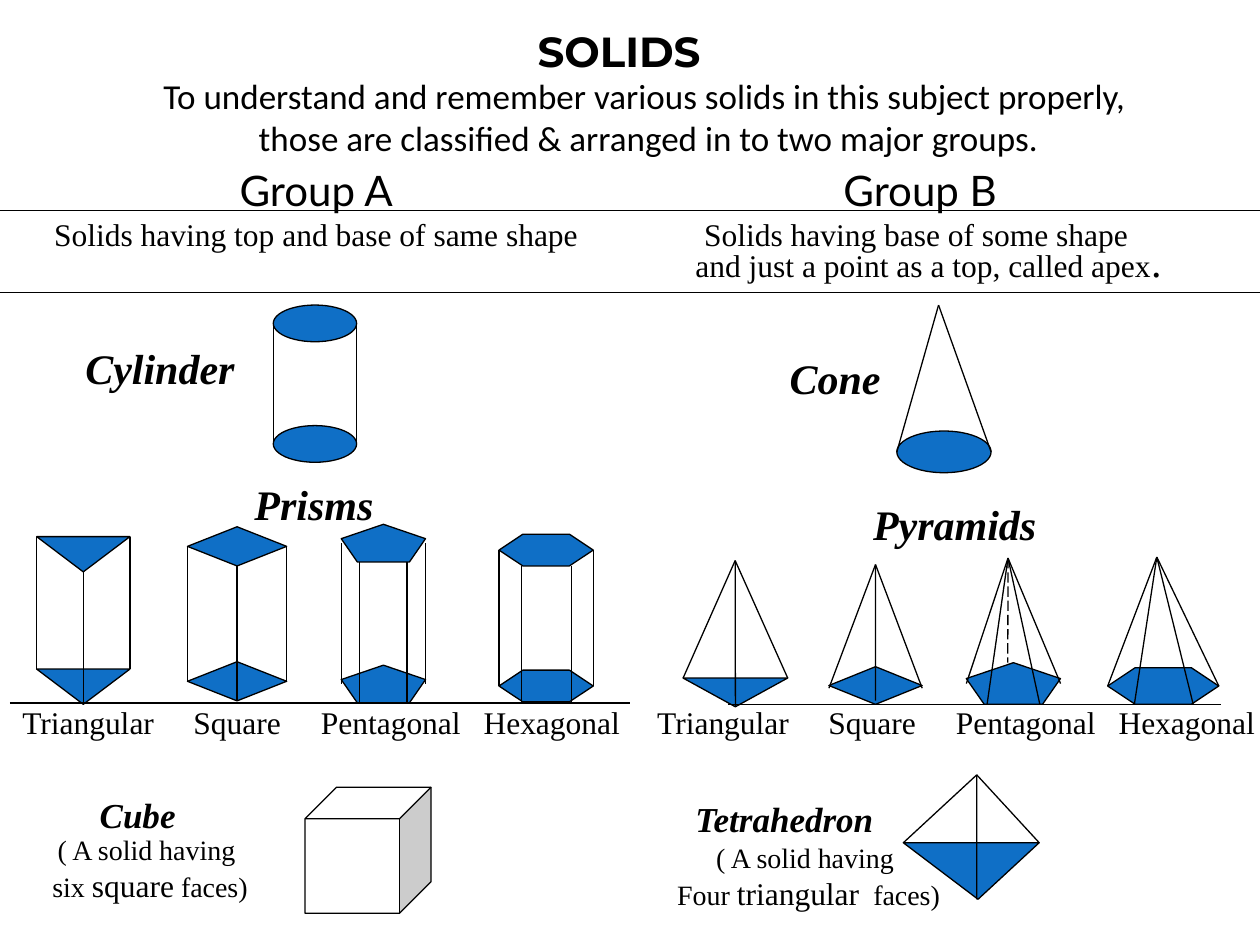
from dataclasses import dataclass
from typing import Optional

from lxml import etree
from pptx import Presentation
from pptx import util as u
from pptx.dml.color import RGBColor
from pptx.enum import dml, shapes, text
from pptx.oxml import ns

Kind = shapes.MSO_SHAPE
Point = tuple[float, float]
BLACK, WHITE, BLUE = "000000", "FFFFFF", "0F6FC6"
SERIF = "Times New Roman"
HEX_ADJ = 0.75


@dataclass
class Face:
    kind: Kind
    left: float
    top: float
    width: float
    height: float
    adj: Optional[float] = None
    flip: bool = False

    def at(self, spot: Point) -> Point:
        """Turn fractions of the face into slide centimetres."""
        return self.left + spot[0] * self.width, self.top + spot[1] * self.height


@dataclass
class Prism:
    face: Face
    rise: float  # distance between top and base
    spots: list[Point]


@dataclass
class Pyramid:
    face: Face
    apex: Point
    spots: list[Point]
    hidden: Optional[Point] = None


# Corners where edges meet the faces, as fractions
SIDES = [(0, 0.5), (1, 0.5)]
TRI = [(0, 0), (1, 0), (0.5, 1)]
PENT = [(0.22, 1), (0.78, 1)]
HEXA = [(0.24, 1), (0.77, 1)]

PRISMS = [
    Prism(Face(Kind.OVAL, 5.51, 6.15, 1.68, 0.74), 2.43, SIDES),
    Prism(Face(Kind.ISOSCELES_TRIANGLE, 0.74, 10.82, 1.88, 0.71, flip=True), 2.67, TRI),
    Prism(Face(Kind.DIAMOND, 3.78, 10.62, 2, 0.79), 2.72, SIDES + [(0.5, 1)]),
    Prism(Face(Kind.REGULAR_PENTAGON, 6.88, 10.57, 1.7, 0.76), 2.84, SIDES + PENT),
    Prism(Face(Kind.HEXAGON, 10.06, 10.77, 1.9, 0.64, HEX_ADJ), 2.74, SIDES + HEXA),
]
PYRAMIDS = [
    Pyramid(Face(Kind.OVAL, 18.08, 8.69, 1.9, 0.84), (18.92, 6.15), SIDES),
    Pyramid(Face(Kind.ISOSCELES_TRIANGLE, 13.77, 13.67, 2.11, 0.58, flip=True),
            (14.82, 11.3), TRI),
    Pyramid(Face(Kind.DIAMOND, 16.71, 13.44, 1.88, 0.76), (17.65, 11.38),
            [(0, 0.57), (1, 0.57), (0.5, 0.9)]),
    Pyramid(Face(Kind.REGULAR_PENTAGON, 19.48, 13.36, 1.9, 0.84), (20.32, 11.25),
            SIDES + PENT, (0.44, 0)),
    Pyramid(Face(Kind.HEXAGON, 22.33, 13.46, 2.24, 0.74, HEX_ADJ), (23.32, 11.23),
            SIDES + HEXA),
    Pyramid(Face(Kind.ISOSCELES_TRIANGLE, 18.21, 16.99, 2.74, 1.14, 0.55, True),
            (19.69, 15.62), [(0, 0), (1, 0), (0.54, 1)]),
]
# Ground lines and rules: start, end, height
RULES = [(0, 25.4, 4.24), (0, 25.4, 5.89), (0.2, 12.7, 14.17), (14.68, 24.61, 14.2)]

# Names of solids: words, left, top, width, size
NAMES = [
    ("Cylinder", 1.47, 6.78, 3.53, 24),
    ("Prisms", 4.88, 9.52, 2.92, 24),
    ("Cube", 1.76, 15.87, 2.1, 20),
    ("Cone", 15.67, 6.98, 2.34, 24),
    ("Pyramids", 17.35, 9.93, 3.81, 24),
    ("Tetrahedron", 13.77, 15.95, 4.17, 20),
]
# Group headings: words, left, width, note
GROUPS = [
    ("Group A", 0.84, 11.07, "Solids having top and base of same shape"),
    ("Group B", 13.94, 9.22, "Solids having base of some shape "),
]
# Remarks: left, top, width, words of the second line
NOTES = [
    (0.79, 16.66, 4.47, ("six ", "square", " faces)")),
    (13.39, 16.81, 5.82, ("Four ", "triangular", "  faces)")),
]
BASES = "Triangular\tSquare\tPentagonal\tHexagonal"
STOPS = (3.45, 6.02, 9.3)

deck = Presentation()
deck.slide_width, deck.slide_height = u.Cm(25.4), u.Cm(19.05)
slide = deck.slides.add_slide(deck.slide_layouts[6])


def paint(target, color: str) -> None:
    target.solid()
    target.fore_color.rgb = RGBColor.from_string(color)


def draw_face(face: Face, color: str = BLUE) -> None:
    box = (u.Cm(v) for v in (face.left, face.top, face.width, face.height))
    shape = slide.shapes.add_shape(face.kind, *box)
    shape.shadow.inherit = False
    paint(shape.fill, color)
    paint(shape.line.fill, BLACK)
    shape.line.width = u.Pt(0.75)
    if face.adj is not None:
        shape.adjustments[0] = face.adj
    if face.flip:
        shape._element.spPr.find(ns.qn("a:xfrm")).set("flipV", "1")


def draw_line(start: Point, end: Point, dash: bool = False) -> None:
    ends = (u.Cm(v) for v in (*start, *end))
    line = slide.shapes.add_connector(shapes.MSO_CONNECTOR.STRAIGHT, *ends)
    paint(line.line.fill, BLACK)
    line.line.width = u.Pt(0.75)
    if dash:
        line.line.dash_style = dml.MSO_LINE.LONG_DASH
    etree.SubElement(line._element.spPr, ns.qn("a:effectLst"))


def draw_prism(prism: Prism) -> None:
    top = prism.face
    base = Face(top.kind, top.left, top.top + prism.rise, top.width, top.height,
                top.adj, top.flip)
    draw_face(top)
    draw_face(base)
    for spot in prism.spots:
        draw_line(top.at(spot), base.at(spot))


def draw_pyramid(solid: Pyramid) -> None:
    draw_face(solid.face)
    for spot in solid.spots:
        draw_line(solid.apex, solid.face.at(spot))
    if solid.hidden:
        draw_line(solid.apex, solid.face.at(solid.hidden), dash=True)


def write(lines, left: float, top: float, width: float, height: float, *,
          font: str = SERIF, size: float = 18, bold: bool = False,
          italic: bool = False, center: bool = False, wrap: bool = False,
          stops: tuple = ()) -> None:
    """Write lines; each is a string or a list of (words, changes) runs."""
    box = slide.shapes.add_textbox(*(u.Cm(v) for v in (left, top, width, height)))
    frame = box.text_frame
    frame.word_wrap = wrap
    frame.auto_size = text.MSO_AUTO_SIZE.SHAPE_TO_FIT_TEXT
    for i, line in enumerate([lines] if isinstance(lines, str) else lines):
        para = frame.add_paragraph() if i else frame.paragraphs[0]
        para.alignment = text.PP_ALIGN.CENTER if center else text.PP_ALIGN.LEFT
        if stops:
            tabs = etree.SubElement(para._p.get_or_add_pPr(), ns.qn("a:tabLst"))
            for stop in stops:
                etree.SubElement(tabs, ns.qn("a:tab"), pos=str(u.Cm(stop)), algn="l")
        for words, change in [(line, {})] if isinstance(line, str) else line:
            run = para.add_run()
            run.text = words
            run.font.name = change.get("font", font)
            run.font.size = u.Pt(change.get("size", size))
            run.font.bold, run.font.italic = bold, italic
            paint(run.font.fill, BLACK)


# Solids
for prism in PRISMS:
    draw_prism(prism)
for solid in PYRAMIDS:
    draw_pyramid(solid)
draw_face(Face(Kind.CUBE, 6.15, 15.87, 2.54, 2.54, 0.25), WHITE)

# Rules and ground lines
for start, end, level in RULES:
    draw_line((start, level), (end, level))

# Title and introduction
write("SOLIDS", 10.59, 0.38, 3.99, 1.27, font="Montserrat", size=24, bold=True)
write(["To understand and remember various solids in this subject properly, ",
       "those are classified & arranged in to two major groups."],
      2.13, 1.37, 21.89, 1.96, font="Calibri", size=20, center=True)

# Group headings
for head, left, width, note in GROUPS:
    write([[(head, {"font": "Lato", "size": 24})], note], left, 3.2, width, 2.03,
          center=True)
write([[("and just a point as a top, called apex", {}), (".", {"size": 24})]],
      13.77, 4.62, 9.91, 1.27, wrap=True)

# Labels and remarks
for name, left, top, width, size in NAMES:
    write(name, left, top, width, 1.2, size=size, bold=True, italic=True)
for left in (0.2, 13):
    write(BASES, left, 14.05, 12.6, 1.02, stops=STOPS)
for left, top, width, (first, shape, last) in NOTES:
    write(["( A solid having ", [(first, {}), (shape, {"size": 18}), (last, {})]],
          left, top, width, 1.7, size=16, center=True)

deck.save("out.pptx")
